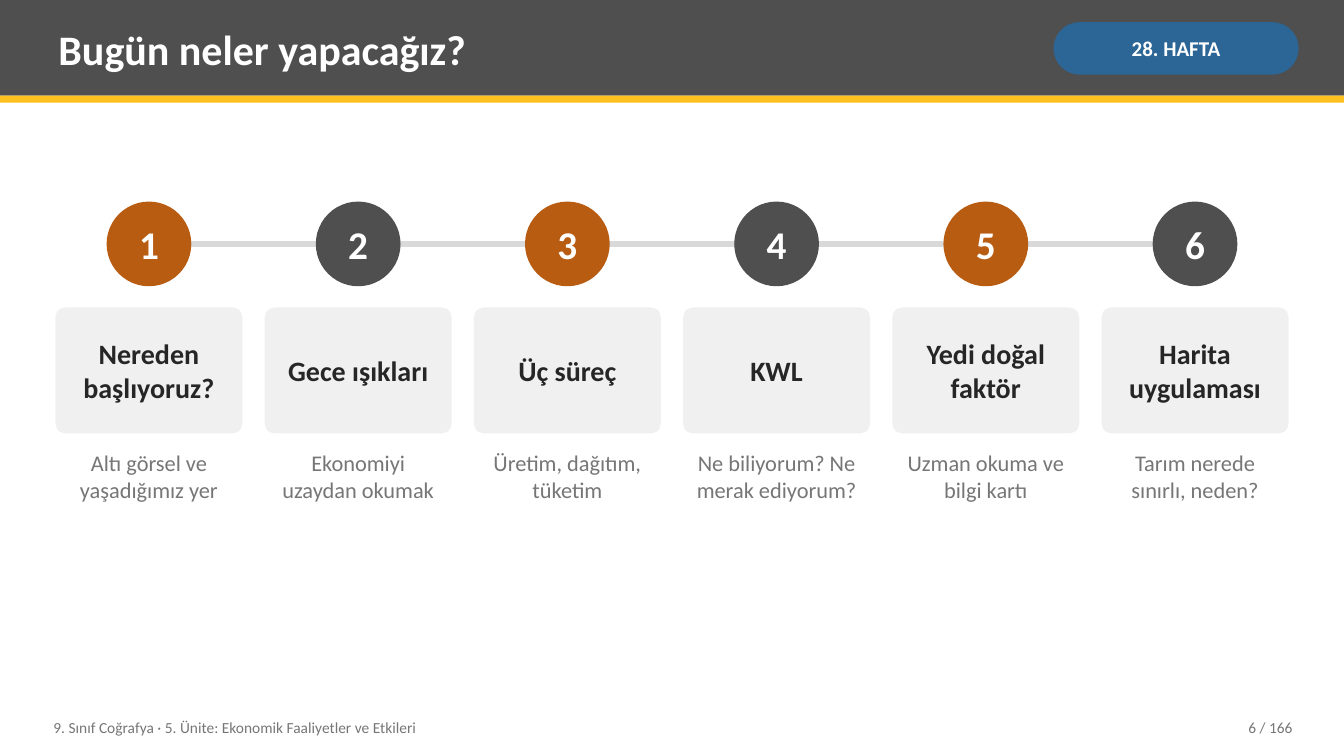
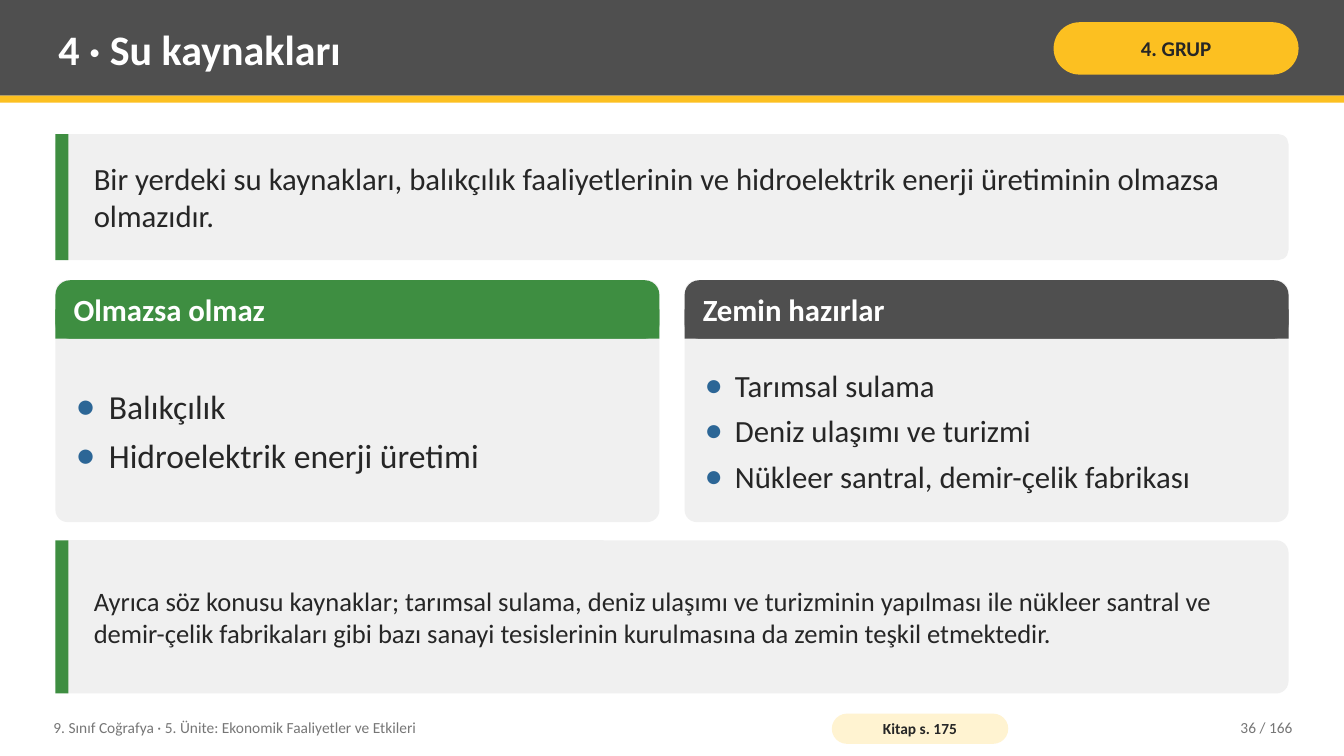
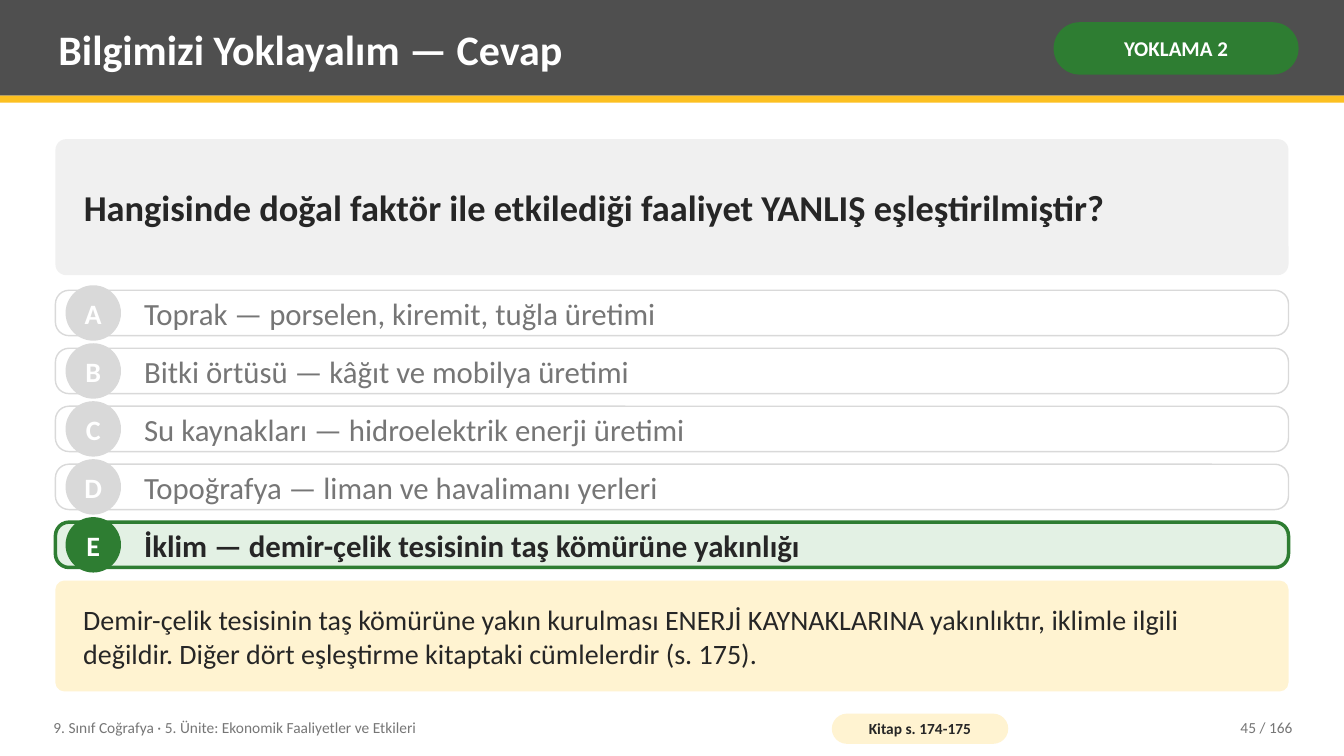
from lxml import etree
from pptx import Presentation
from pptx import util as u
from pptx.dml.color import RGBColor
from pptx.enum import shapes, text
from pptx.oxml import ns

FONT = "Calibri"
DARK, YELLOW, WHITE, INK = "4F4F4F", "FCC021", "FFFFFF", "262626"
PANEL, RULE, MUTED, CREAM = "F0F0F0", "D9D9D9", "767676", "FFF3D1"
BLUE, ORANGE, GREEN = "2C6696", "B85C12", "3E8E41"
CORRECT, CORRECT_TINT = "2E7D32", "E3F1E4"
RECT = shapes.MSO_SHAPE.RECTANGLE
ROUND = shapes.MSO_SHAPE.ROUNDED_RECTANGLE
OVAL = shapes.MSO_SHAPE.OVAL
LEFT, CENTER, RIGHT = text.PP_ALIGN.LEFT, text.PP_ALIGN.CENTER, text.PP_ALIGN.RIGHT
MIDDLE, TOP = text.MSO_ANCHOR.MIDDLE, text.MSO_ANCHOR.TOP
MARGIN, CONTENT = 0.55, 12.23


def add_box(slide, kind, left, top, width, height, fill=None, corner=None, line=None, line_width=1):
    """Add a preset shape, or a text box when kind is None."""
    place = [u.Inches(value) for value in (left, top, width, height)]
    if kind is None:
        return slide.shapes.add_textbox(*place)
    shape = slide.shapes.add_shape(kind, *place)
    shape.shadow.inherit = False
    shape.fill.solid()
    shape.fill.fore_color.rgb = RGBColor.from_string(fill)
    if corner is not None:
        shape.adjustments[0] = corner
    if line:
        shape.line.color.rgb = RGBColor.from_string(line)
        shape.line.width = u.Pt(line_width)
    else:
        shape.line.fill.background()
    return shape


def add_text(shape, lines, size, color, bold=False, align=LEFT, inset=(0.08, 0.04),
             anchor=MIDDLE, wrap=True):
    """Write one paragraph for each line."""
    frame = shape.text_frame
    frame.word_wrap = wrap
    frame.vertical_anchor = anchor
    frame.margin_left = frame.margin_right = u.Inches(inset[0])
    frame.margin_top = frame.margin_bottom = u.Inches(inset[1])
    for index, line in enumerate(lines):
        paragraph = frame.add_paragraph() if index else frame.paragraphs[0]
        paragraph.alignment = align
        run = paragraph.add_run()
        run.text = line
        run.font.name, run.font.size, run.font.bold = FONT, u.Pt(size), bold
        run.font.color.rgb = RGBColor.from_string(color)
    return frame


presentation = Presentation()
presentation.slide_width, presentation.slide_height = u.Inches(13.33), u.Inches(7.5)

# Shared frame: title band, badge, footer
frames = [
    ("Bugün neler yapacağız?", "28. HAFTA", BLUE, WHITE, 6, None),
    ("4 · Su kaynakları", "4. GRUP", YELLOW, INK, 36, "Kitap s. 175"),
    ("Bilgimizi Yoklayalım — Cevap", "YOKLAMA 2", CORRECT, WHITE, 45, "Kitap s. 174-175"),
]
slides = []
for title, badge, badge_fill, badge_color, page, book_page in frames:
    slide = presentation.slides.add_slide(presentation.slide_layouts[6])
    slides.append(slide)
    add_box(slide, RECT, 0, 0, 13.33, 0.95, DARK)
    add_box(slide, RECT, 0, 0.95, 13.33, 0.07, YELLOW)
    add_text(add_box(slide, None, 0.5, 0.07, 9.75, 0.82), [title], 30, WHITE, True)
    add_text(add_box(slide, ROUND, 10.45, 0.22, 2.43, 0.52, badge_fill, 0.5),
             [badge], 15, badge_color, True, CENTER, (0.05, 0.02))
    add_text(add_box(slide, None, 0.45, 7.04, 7.6, 0.36),
             ["9. Sınıf Coğrafya · 5. Ünite: Ekonomik Faaliyetler ve Etkileri"], 11, MUTED)
    if book_page:
        add_text(add_box(slide, ROUND, 8.25, 7.08, 1.75, 0.3, CREAM, 0.5),
                 [book_page], 11, INK, True, CENTER, (0.04, 0))
    add_text(add_box(slide, None, 11.3, 7.04, 1.6, 0.36),
             [f"{page} / 166"], 11, MUTED, align=RIGHT)
agenda_slide, water_slide, answer_slide = slides

# Agenda: numbered steps on a line
steps = [
    ("Nereden başlıyoruz?", "Altı görsel ve yaşadığımız yer"),
    ("Gece ışıkları", "Ekonomiyi uzaydan okumak"),
    ("Üç süreç", "Üretim, dağıtım, tüketim"),
    ("KWL", "Ne biliyorum? Ne merak ediyorum?"),
    ("Yedi doğal faktör", "Uzman okuma ve bilgi kartı"),
    ("Harita uygulaması", "Tarım nerede sınırlı, neden?"),
]
gap, circle = 0.22, 0.84
card_width = (CONTENT - gap * (len(steps) - 1)) / len(steps)
first_center = MARGIN + card_width / 2
last_center = MARGIN + CONTENT - card_width / 2
timeline = agenda_slide.shapes.add_connector(
    shapes.MSO_CONNECTOR.STRAIGHT, u.Inches(first_center), u.Inches(2.42),
    u.Inches(last_center), u.Inches(2.42))
timeline.line.color.rgb = RGBColor.from_string(RULE)
timeline.line.width = u.Pt(4)
etree.SubElement(timeline._element.spPr, ns.qn("a:effectLst"))
for index, (heading, detail) in enumerate(steps):
    left = MARGIN + index * (card_width + gap)
    number = add_box(agenda_slide, OVAL, left + (card_width - circle) / 2, 2, circle, circle,
                     DARK if index % 2 else ORANGE)
    add_text(number, [str(index + 1)], 28, WHITE, True, CENTER, (0, 0), wrap=False)
    add_text(add_box(agenda_slide, ROUND, left, 3.05, card_width, 1.25, PANEL, 0.08),
             [heading], 20, INK, True, CENTER, (0.08, 0.08))
    add_text(add_box(agenda_slide, None, left, 4.42, card_width, 1.9),
             [detail], 16, MUTED, align=CENTER, anchor=TOP)

# Water resources: statements with a green edge
statements = [
    (1.33, 1.25, 22, "Bir yerdeki su kaynakları, balıkçılık faaliyetlerinin ve hidroelektrik "
                     "enerji üretiminin olmazsa olmazıdır."),
    (5.36, 1.52, 19, "Ayrıca söz konusu kaynaklar; tarımsal sulama, deniz ulaşımı ve turizminin "
                     "yapılması ile nükleer santral ve demir-çelik fabrikaları gibi bazı sanayi "
                     "tesislerinin kurulmasına da zemin teşkil etmektedir."),
]
for top, height, size, statement in statements:
    add_box(water_slide, ROUND, MARGIN, top, CONTENT, height, PANEL, 0.08)
    add_box(water_slide, RECT, MARGIN, top, 0.13, height, GREEN)
    add_text(add_box(water_slide, None, 0.85, top, 11.78, height), [statement], size, INK)

# Water resources: two bulleted cards
cards = [
    ("Olmazsa olmaz", GREEN, 24, 0.33, ["Balıkçılık", "Hidroelektrik enerji üretimi"]),
    ("Zemin hazırlar", DARK, 22, 0.3, ["Tarımsal sulama", "Deniz ulaşımı ve turizmi",
                                       "Nükleer santral, demir-çelik fabrikası"]),
]
card_width = 5.99
for index, (heading, color, size, indent, items) in enumerate(cards):
    left = MARGIN + index * (CONTENT - card_width)
    add_box(water_slide, ROUND, left, 2.78, card_width, 2.4, PANEL, 0.05)
    add_box(water_slide, ROUND, left, 2.78, card_width, 0.58, color, 0.25)
    add_box(water_slide, RECT, left, 3.07, card_width, 0.29, color)
    add_text(add_box(water_slide, None, left + 0.1, 2.78, card_width - 0.2, 0.58),
             [heading], 22, WHITE, True)
    frame = add_text(add_box(water_slide, None, left + 0.12, 3.44, card_width - 0.24, 1.66),
                     items, size, INK)
    for paragraph in frame.paragraphs:
        properties = paragraph._p.get_or_add_pPr()
        properties.set("marL", str(u.Inches(indent)))
        properties.set("indent", str(-u.Inches(indent)))
        bullet_color = etree.SubElement(properties, ns.qn("a:buClr"))
        etree.SubElement(bullet_color, ns.qn("a:srgbClr"), val=BLUE)
        etree.SubElement(properties, ns.qn("a:buSzPct"), val="120000")
        etree.SubElement(properties, ns.qn("a:buFont"), typeface=FONT)
        etree.SubElement(properties, ns.qn("a:buChar"), char="•")
    for paragraph in frame.paragraphs[:-1]:
        paragraph.space_after = u.Pt(6)

# Answer: question and explanation
add_text(add_box(answer_slide, ROUND, MARGIN, 1.38, CONTENT, 1.35, PANEL, 0.08),
         ["Hangisinde doğal faktör ile etkilediği faaliyet YANLIŞ eşleştirilmiştir?"],
         26, INK, True, inset=(0.25, 0.08))
add_text(add_box(answer_slide, ROUND, MARGIN, 5.76, CONTENT, 1.1, CREAM, 0.08),
         ["Demir-çelik tesisinin taş kömürüne yakın kurulması ENERJİ KAYNAKLARINA yakınlıktır, "
          "iklimle ilgili değildir. Diğer dört eşleştirme kitaptaki cümlelerdir (s. 175)."],
         20, INK, inset=(0.25, 0.08))

# Answer: options, with the correct one highlighted
options = {
    "A": "Toprak — porselen, kiremit, tuğla üretimi",
    "B": "Bitki örtüsü — kâğıt ve mobilya üretimi",
    "C": "Su kaynakları — hidroelektrik enerji üretimi",
    "D": "Topoğrafya — liman ve havalimanı yerleri",
    "E": "İklim — demir-çelik tesisinin taş kömürüne yakınlığı",
}
first_top, last_top = 2.88, 5.18
for index, (letter, option) in enumerate(options.items()):
    top = first_top + index * (last_top - first_top) / (len(options) - 1)
    correct = letter == "E"
    accent = CORRECT if correct else RULE
    add_box(answer_slide, ROUND, MARGIN, top, CONTENT, 0.45,
            CORRECT_TINT if correct else WHITE, 0.3, accent, 2.5 if correct else 1)
    add_text(add_box(answer_slide, OVAL, 0.65, top - 0.05, 0.55, 0.55, accent),
             [letter], 20, WHITE, True, CENTER, (0, 0), wrap=False)
    add_text(add_box(answer_slide, None, 1.35, top, 11.23, 0.45),
             [option], 22, INK if correct else MUTED, correct)

presentation.save("out.pptx")
